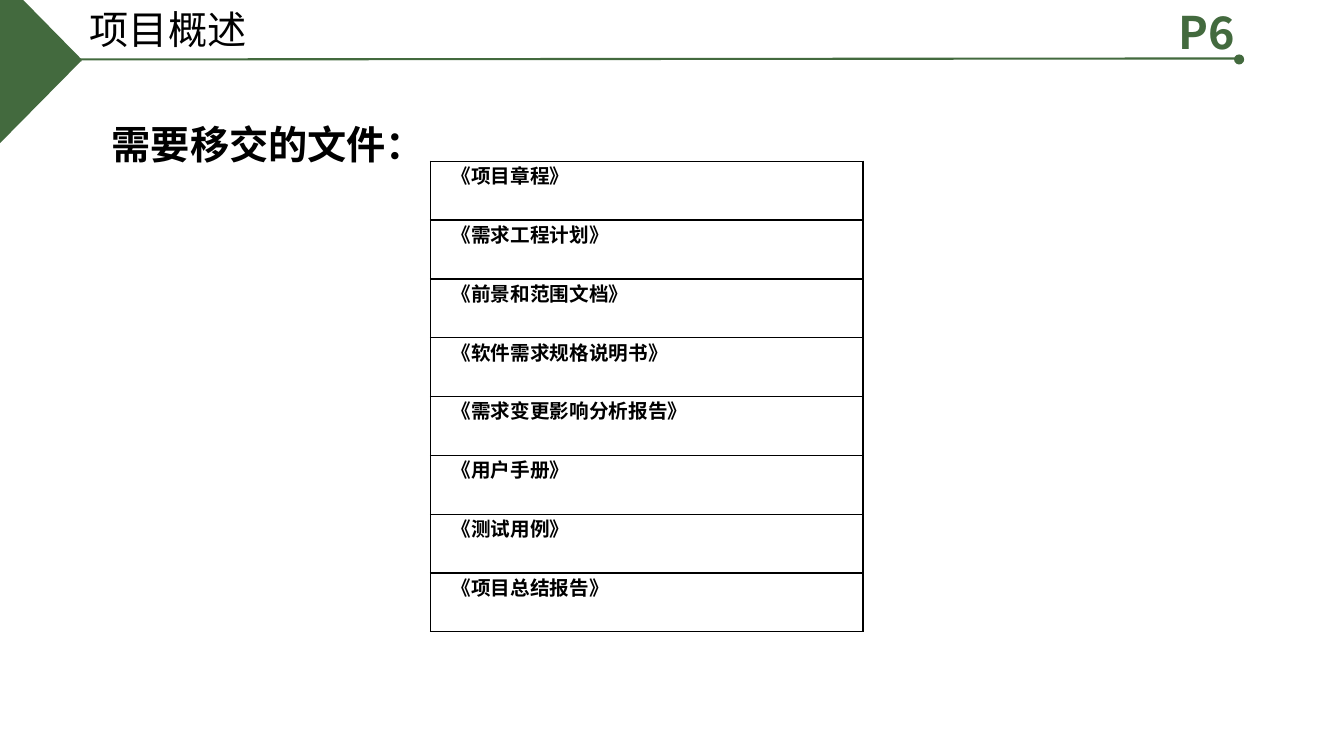
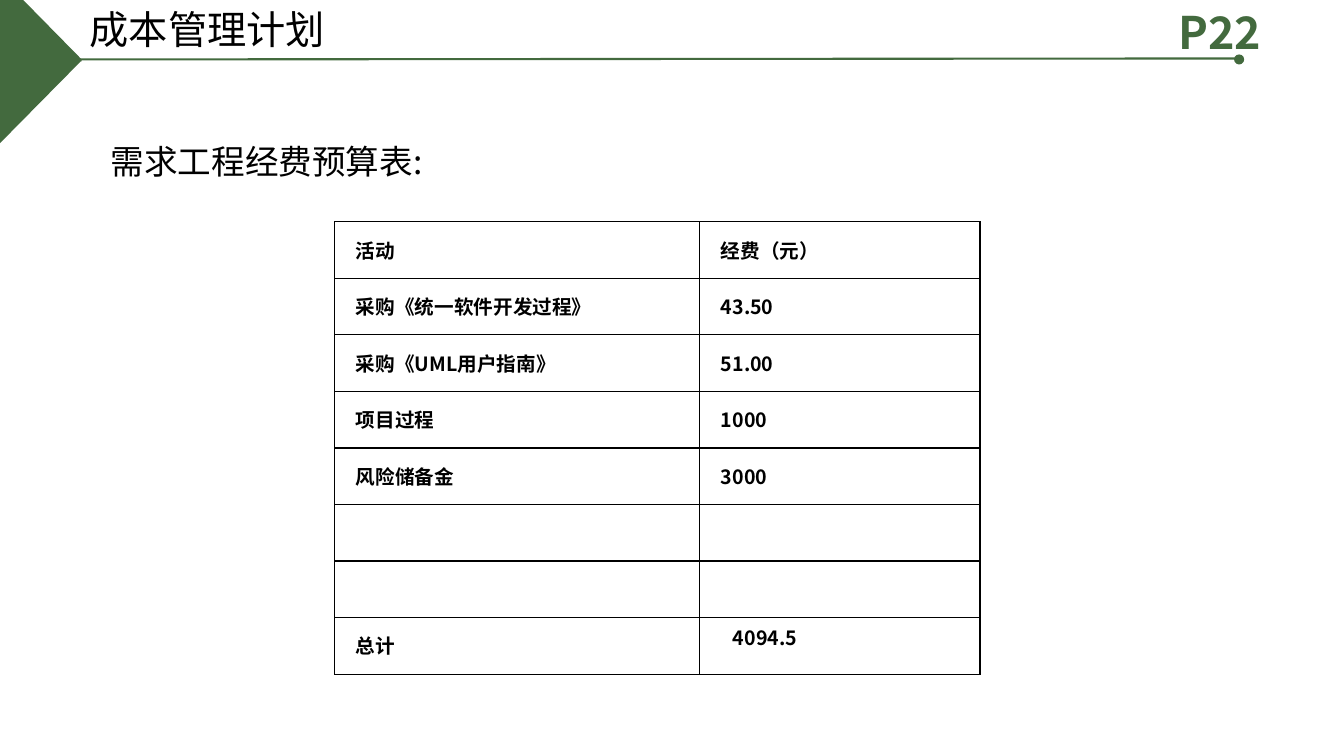
from lxml import etree
from pptx import Presentation
from pptx.dml.color import RGBColor
from pptx.enum.shapes import MSO_CONNECTOR, MSO_SHAPE
from pptx.enum.text import MSO_ANCHOR, MSO_AUTO_SIZE, PP_ALIGN
from pptx.oxml.ns import qn
from pptx.util import Inches, Pt

GREEN = RGBColor(0x43, 0x6A, 0x3E)
BLACK = RGBColor(0, 0, 0)
SANS = "Noto Sans CJK SC"
CALIBRI = "Calibri"
TIMES = "Times New Roman"
LEFT, JUSTIFY = PP_ALIGN.LEFT, PP_ALIGN.JUSTIFY
TOP = MSO_ANCHOR.TOP
NO_AUTOFIT = MSO_AUTO_SIZE.NONE
STRAIGHT = MSO_CONNECTOR.STRAIGHT
OVAL = MSO_SHAPE.OVAL
TITLE_ONLY = 5

CORNER = [(0, 0), (0.23, 0), (0.81, 0.59), (0.81, 0.61), (0.8, 0.61), (0, 1.42)]
CELL_MARGINS = {"margin_left": Inches(0.07), "margin_right": Inches(0.07),
                "margin_bottom": 0}
PLAIN_TABLE = {"first_row": False, "horz_banding": False}

DOCUMENTS = ["《项目章程》", "《需求工程计划》", "《前景和范围文档》",
             "《软件需求规格说明书》", "《需求变更影响分析报告》",
             "《用户手册》", "《测试用例》", "《项目总结报告》"]
BUDGET = [("活动", "经费（元）"),
          ("采购《统一软件开发过程》", "43.50"),
          ("采购《UML用户指南》", "51.00"),
          ("项目过程", "1000"),
          ("风险储备金", "3000"),
          ("", ""),
          ("", ""),
          ("总计", "4094.5")]

DOCUMENT_CELL = {"font": TIMES, "align": JUSTIFY, "line": Pt(20),
                 "indent": 0.14, "top": 0}
BUDGET_CELL = {"font": SANS, "align": LEFT, "line": Pt(12),
               "indent": 0.14, "top": 0.25}
TOTAL_CELL = {**BUDGET_CELL, "indent": 0.26, "top": 0.17}


def apply(target, values):
    for name, value in values.items():
        setattr(target, name, value)


def write(frame, text, size, font=SANS, color=BLACK, bold=False, **paragraph_format):
    paragraph = frame.paragraphs[0]
    apply(paragraph, {"alignment": LEFT, **paragraph_format})
    run = paragraph.add_run()
    run.text = text
    apply(run.font, {"size": Pt(size), "name": font, "bold": bold})
    run.font.color.rgb = color
    east_asian = etree.SubElement(run.font._element, qn("a:ea"))
    east_asian.set("typeface", SANS if font == TIMES else font)
    return paragraph


def place(shape, left, top, width, height):
    apply(shape, {"left": Inches(left), "top": Inches(top),
                  "width": Inches(width), "height": Inches(height)})
    apply(shape.text_frame, {"word_wrap": True, "auto_size": NO_AUTOFIT,
                             "vertical_anchor": TOP})
    return shape.text_frame


def add_text(slide, box, text, size, **text_format):
    frame = place(slide.shapes.add_textbox(0, 0, 0, 0), *box)
    write(frame, text, size, **text_format)


def paint_green(shape):
    shape.shadow.inherit = False
    shape.fill.solid()
    shape.fill.fore_color.rgb = GREEN
    shape.line.fill.background()


def add_header(slide, title, page, page_width):
    # Corner
    start, *others = [(Inches(x), Inches(y)) for x, y in CORNER]
    outline = slide.shapes.build_freeform(*start)
    outline.add_line_segments(others, close=True)
    paint_green(outline.convert_to_shape())

    # Rule with its end dot
    rule = slide.shapes.add_connector(STRAIGHT, Inches(0.76), Inches(0.59),
                                      Inches(12.27), Inches(0.58))
    rule.line.color.rgb = GREEN
    rule.line.width = Pt(1.5)
    etree.SubElement(rule._element.spPr, qn("a:effectLst"))
    paint_green(slide.shapes.add_shape(OVAL, Inches(12.24), Inches(0.54),
                                       Inches(0.1), Inches(0.1)))

    # Title and page mark
    write(place(slide.shapes.title, 0.79, 0, 4.38, 0.57), title, 28, line_spacing=1.0)
    add_text(slide, (11.59, 0, page_width, 0.64), page, 32, color=GREEN, bold=True)


def add_borders(cell):
    properties = cell._tc.get_or_add_tcPr()
    for position, side in enumerate(("a:lnL", "a:lnR", "a:lnT", "a:lnB")):
        border = etree.Element(qn(side), w=str(Pt(1)))
        fill = etree.SubElement(border, qn("a:solidFill"))
        etree.SubElement(fill, qn("a:srgbClr"), val=str(BLACK))
        properties.insert(position, border)


def fill_cell(cell, text, style):
    cell.fill.background()
    add_borders(cell)
    if not text:
        return
    apply(cell, {**CELL_MARGINS, "margin_top": Inches(style["top"])})
    paragraph = write(cell.text_frame, text, 14, font=style["font"], bold=True,
                      alignment=style["align"], line_spacing=style["line"])
    paragraph._p.get_or_add_pPr().set("indent", str(Inches(style["indent"])))


def add_grid(slide, left, top, widths, height, rows, style_of):
    table = slide.shapes.add_table(len(rows), len(widths), Inches(left), Inches(top),
                                   Inches(sum(widths)), Inches(height)).table
    apply(table, PLAIN_TABLE)
    for column, width in zip(table.columns, widths):
        column.width = Inches(width)
    for r, texts in enumerate(rows):
        for c, text in enumerate(texts):
            fill_cell(table.cell(r, c), text, style_of(r, c))


def budget_style(row, column):
    is_total = row == len(BUDGET) - 1 and column == 1
    return TOTAL_CELL if is_total else BUDGET_CELL


def add_documents_slide(deck):
    slide = deck.slides.add_slide(deck.slide_layouts[TITLE_ONLY])
    add_header(slide, "项目概述", "P6", 0.9)
    add_text(slide, (1.01, 1.14, 11.28, 5.42), "需要移交的文件：", 28,
             font=CALIBRI, bold=True)
    add_grid(slide, 4.27, 1.6, [4.29], 4.67, [(name,) for name in DOCUMENTS],
             lambda row, column: DOCUMENT_CELL)


def add_budget_slide(deck):
    slide = deck.slides.add_slide(deck.slide_layouts[TITLE_ONLY])
    add_header(slide, "成本管理计划", "P22", 1.17)
    add_text(slide, (1, 1.39, 11, 4.4), "需求工程经费预算表:", 24,
             line_spacing=0.9, space_before=Pt(10))
    add_grid(slide, 3.32, 2.2, [3.62, 2.78], 4.49, BUDGET, budget_style)


def main():
    deck = Presentation()
    apply(deck, {"slide_width": Inches(13.33), "slide_height": Inches(7.5)})
    add_documents_slide(deck)
    add_budget_slide(deck)
    deck.save("out.pptx")


main()
